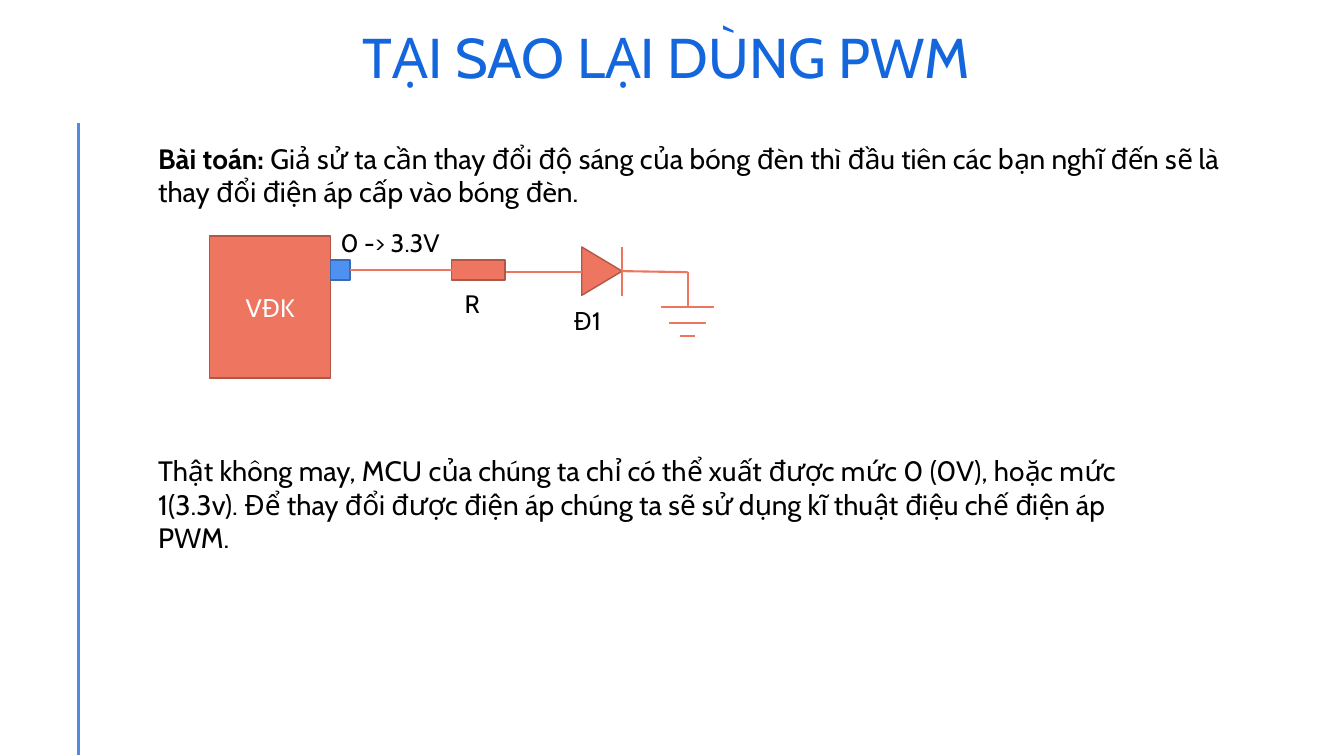
from dataclasses import dataclass
from typing import NamedTuple

from pptx import Presentation
from pptx import util as u
from pptx.dml.color import RGBColor
from pptx.enum import shapes, text
from pptx.oxml.ns import qn


@dataclass(frozen=True)
class Theme:
    font: str = "Cabin"
    title: RGBColor = RGBColor.from_string("1366DC")
    body: RGBColor = RGBColor.from_string("000000")
    light: RGBColor = RGBColor.from_string("FFFFFF")
    rule: RGBColor = RGBColor.from_string("4E8BE0")
    coral: RGBColor = RGBColor.from_string("EE7661")
    coral_edge: RGBColor = RGBColor.from_string("B05748")
    blue: RGBColor = RGBColor.from_string("4E91F0")
    blue_edge: RGBColor = RGBColor.from_string("3A6BB2")
    title_size: int = 40
    body_size: int = 20
    label_size: int = 18


THEME = Theme()


class Span(NamedTuple):
    words: str
    bold: bool = False


class Label(NamedTuple):
    left: float
    top: float
    width: float
    height: float
    spans: tuple[Span, ...]
    size: int = THEME.label_size
    color: RGBColor = THEME.body
    align: text.PP_ALIGN = text.PP_ALIGN.LEFT


class Part(NamedTuple):
    left: float
    top: float
    width: float
    height: float
    fill: RGBColor = THEME.coral
    edge: RGBColor = THEME.coral_edge
    words: str = ""
    preset: shapes.MSO_SHAPE = shapes.MSO_SHAPE.RECTANGLE
    rotation: int = 0


class Wire(NamedTuple):
    x1: float
    y1: float
    x2: float
    y2: float
    color: RGBColor = THEME.coral
    weight: float = 1.5


def write(para, spans: tuple[Span, ...], size: int, color: RGBColor,
          align: text.PP_ALIGN) -> None:
    para.alignment = align
    para.font.name = THEME.font
    para.font.size = u.Pt(size)
    para.font.color.rgb = color
    for item in spans:
        span = para.add_run()
        span.text = item.words
        if item.bold:
            span.font.bold = True


def draw_label(page, label: Label) -> None:
    box = page.shapes.add_textbox(*map(u.Inches, label[:4]))
    box.text_frame.word_wrap = True
    write(box.text_frame.paragraphs[0], label.spans, label.size, label.color, label.align)


def draw_part(page, part: Part) -> None:
    shape = page.shapes.add_shape(part.preset, *map(u.Inches, part[:4]))
    shape.shadow.inherit = False
    shape.rotation = part.rotation
    shape.fill.solid()
    shape.fill.fore_color.rgb = part.fill
    shape.line.color.rgb = part.edge
    shape.line.width = u.Pt(1)
    if part.words:
        shape.text_frame.vertical_anchor = text.MSO_ANCHOR.MIDDLE
        write(shape.text_frame.paragraphs[0], (Span(part.words),), THEME.label_size,
              THEME.light, text.PP_ALIGN.CENTER)


def draw_wire(page, wire: Wire) -> None:
    line = page.shapes.add_connector(shapes.MSO_CONNECTOR.STRAIGHT, *map(u.Inches, wire[:4]))
    line.line.color.rgb = wire.color
    line.line.width = u.Pt(wire.weight)
    properties = line._element.spPr
    properties.append(properties.makeelement(qn("a:effectLst"), {}))


deck = Presentation()
deck.slide_width = u.Inches(13.33)
deck.slide_height = u.Inches(7.5)
page = deck.slides.add_slide(deck.slide_layouts[6])

# Side rule, title and problem statement
draw_wire(page, Wire(0.78, 1.22, 0.78, 7.49, THEME.rule, 2))
draw_label(page, Label(1.68, 0.17, 9.98, 0.77, (Span("TẠI SAO LẠI DÙNG PWM "),),
                       THEME.title_size, THEME.title, text.PP_ALIGN.CENTER))
draw_label(page, Label(1.47, 1.35, 10.97, 0.77, (
    Span("Bài toán: ", bold=True),
    Span("Giả sử ta cần thay đổi độ sáng của bóng đèn thì đầu tiên các bạn nghĩ đến "
         "sẽ là thay đổi điện áp cấp vào bóng đèn."),
), THEME.body_size))

# Circuit: controller, output pin, resistor and diode
PARTS = (
    Part(2.08, 2.34, 1.2, 1.41, words="VĐK"),
    Part(3.28, 2.58, 0.19, 0.2, THEME.blue, THEME.blue_edge),
    Part(4.48, 2.58, 0.53, 0.2),
    Part(5.73, 2.49, 0.48, 0.4, preset=shapes.MSO_SHAPE.ISOSCELES_TRIANGLE, rotation=90),
)
for part in PARTS:
    draw_part(page, part)

# Wires, cathode bar and ground symbol
CATHODE_X, GROUND_X, GROUND_Y = 6.17, 6.82, 3.05
WIRES = (
    Wire(3.47, 2.68, 4.48, 2.68),
    Wire(5.02, 2.7, 5.77, 2.7),
    Wire(CATHODE_X, 2.69, GROUND_X, 2.7),
    Wire(CATHODE_X, 2.45, CATHODE_X, 2.94),
    Wire(GROUND_X, 2.7, GROUND_X, GROUND_Y),
)
GROUND_BARS = ((GROUND_Y, 0.53), (3.2, 0.37), (3.33, 0.15))
for wire in WIRES:
    draw_wire(page, wire)
for y, width in GROUND_BARS:
    draw_wire(page, Wire(GROUND_X - width / 2, y, GROUND_X + width / 2, y))

# Circuit labels
LABELS = (
    Label(3.28, 2.21, 1.33, 0.4, (Span("0 -> 3.3V"),)),
    Label(4.51, 2.81, 0.75, 0.4, (Span("R"),)),
    Label(5.59, 2.98, 0.75, 0.4, (Span("Đ1"),)),
)
for label in LABELS:
    draw_label(page, label)

# Conclusion
draw_label(page, Label(1.47, 4.45, 9.99, 0.77, (
    Span("Thật không may, MCU của chúng ta chỉ có thể xuất được mức 0 (0V), hoặc mức "
         "1(3.3v). Để thay đổi được điện áp chúng ta sẽ sử dụng kĩ thuật điệu chế "
         "điện áp PWM."),
), THEME.body_size))

deck.save("out.pptx")
